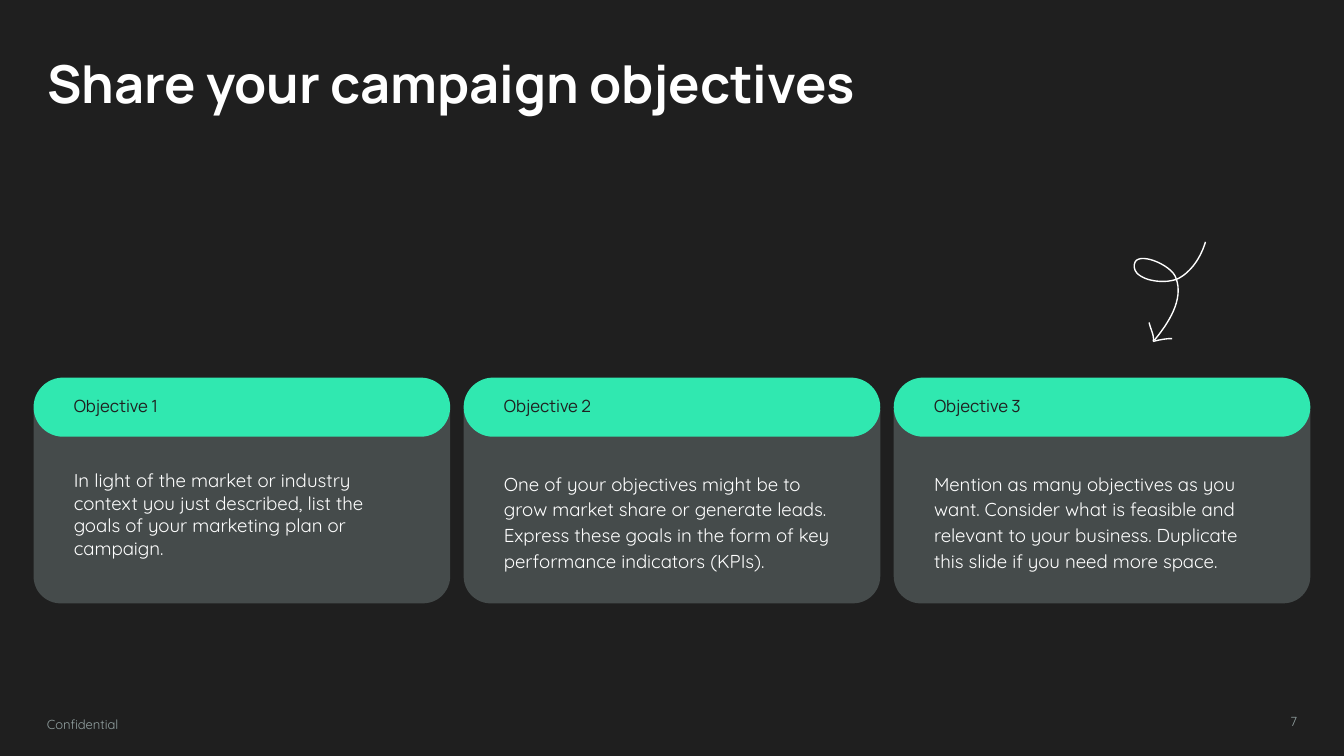
from pptx import Presentation
from pptx.dml.color import RGBColor
from pptx.enum.shapes import MSO_SHAPE as Shape
from pptx.enum.text import MSO_ANCHOR as Anchor, PP_ALIGN as Align
from pptx.util import Pt

COLORS = {
    "background": "1F1F1F",
    "card": "454B4B",
    "header": "30E8B0",
    "light": "FFFFFF",
    "muted": "93A2A2",
}
OBJECTIVES = [
    ("Objective 1", "In light of the market or industry context you just described, "
     "list the goals of your marketing plan or campaign.", 1.0),
    ("Objective 2", "One of your objectives might be to grow market share or generate leads. "
     "Express these goals in the form of key performance indicators (KPIs).", 1.15),
    ("Objective 3", "Mention as many objectives as you want. Consider what is feasible and "
     "relevant to your business. Duplicate this slide if you need more space.", 1.15),
]
ARROW_STROKES = [
    [(38.8, 0), (36.7, 7.2), (32.4, 14.4), (25.9, 18.7),
     (18.7, 23.8), (-0.7, 20.9), (0.7, 12.2),
     (1.4, 4.3), (20.9, 12.2), (23, 19.4),
     (27.4, 31), (18.7, 43.9), (11.5, 52.6)],
    [(8.6, 43.2), (9.4, 46.8), (11.5, 50.4), (10.8, 53.3)],
    [(10.8, 53.3), (13.7, 52.6), (17.3, 51.8), (20.9, 51.8)],
]


def rgb(name):
    """Return the named colour."""
    return RGBColor.from_string(COLORS[name])


def write(holder, text, size, font, color, inset=(7.2, 7.2), spacing=1.0,
          anchor=Anchor.TOP, align=Align.LEFT, bold=False):
    """Write one formatted paragraph into a shape."""
    frame = holder.text_frame
    frame.word_wrap = True
    frame.vertical_anchor = anchor
    frame.margin_left = frame.margin_right = Pt(inset[0])
    frame.margin_top = frame.margin_bottom = Pt(inset[1])
    paragraph = frame.paragraphs[0]
    paragraph.alignment = align
    paragraph.line_spacing = spacing
    run = paragraph.add_run()
    run.text = text
    run.font.size = Pt(size)
    run.font.name = font
    run.font.bold = bold
    run.font.color.rgb = rgb(color)


def add_label(slide, box, *args, **style):
    """Add a text box with one paragraph."""
    write(slide.shapes.add_textbox(*map(Pt, box)), *args, **style)


def add_panel(slide, kind, box, color, adjustments):
    """Add a filled shape without an outline."""
    panel = slide.shapes.add_shape(kind, *map(Pt, box))
    panel.shadow.inherit = False
    panel.fill.solid()
    panel.fill.fore_color.rgb = rgb(color)
    panel.line.fill.background()
    for index, value in enumerate(adjustments):
        panel.adjustments[index] = value


def add_title(slide, box, text):
    """Place and fill the title placeholder."""
    title = slide.shapes.title
    title.left, title.top, title.width, title.height = map(Pt, box)
    write(title, text, 28, "Manrope", "light", bold=True)


def add_card(slide, box, heading, body, spacing):
    """Add an objective card with its pill header."""
    left, top, width, height = box
    pill = (left, top, width, 31.7)
    add_panel(slide, Shape.ROUND_2_SAME_RECTANGLE,
              (left, top + 17.3, width, height - 17.3), "card", (0, 0.14))
    add_panel(slide, Shape.ROUNDED_RECTANGLE, pill, "header", (0.5,))
    add_label(slide, pill, heading, 9, "Manrope", "background",
              inset=(21.6, 0), spacing=0.9, anchor=Anchor.MIDDLE)
    add_label(slide, (left, top + 41.8, width, 56.9), body, 10, "Quicksand", "light",
              inset=(21.6, 7.2), spacing=spacing)


def bezier(start, first, second, end, steps=16):
    """Return points along a cubic curve, without its start."""
    points = []
    for step in range(1, steps + 1):
        t = step / steps
        weights = ((1 - t) ** 3, 3 * t * (1 - t) ** 2, 3 * t ** 2 * (1 - t), t ** 3)
        points.append(tuple(sum(w * p[axis] for w, p in zip(weights, (start, first, second, end)))
                            for axis in (0, 1)))
    return points


def add_loop_arrow(slide, left, top):
    """Draw the hand-drawn arrow as a group of curved strokes."""
    arrow = slide.shapes.add_group_shape()
    for controls in ARROW_STROKES:
        points = controls[:1]
        for index in range(0, len(controls) - 1, 3):
            points = points + bezier(*controls[index:index + 4])
        points = [(Pt(left + x), Pt(top + y)) for x, y in points]
        builder = arrow.shapes.build_freeform(*points[0])
        builder.add_line_segments(points[1:], close=False)
        stroke = builder.convert_to_shape()
        stroke.shadow.inherit = False
        stroke.fill.background()
        stroke.line.color.rgb = rgb("light")
        stroke.line.width = Pt(0.75)


def add_footer(slide, left, top, width):
    """Add the confidentiality note and the page number."""
    add_label(slide, (left, top, 87.8, 24.5), "Confidential", 7, "Quicksand", "muted",
              spacing=1.15)
    add_label(slide, (left + width - 172.8, top, 172.8, 23), "7", 7, "Quicksand", "muted",
              align=Align.RIGHT)


def main():
    """Build and save the slide."""
    deck = Presentation()
    deck.slide_width, deck.slide_height = Pt(720), Pt(405)
    slide = deck.slides.add_slide(deck.slide_layouts[5])
    slide.background.fill.solid()
    slide.background.fill.fore_color.rgb = rgb("background")
    margin, card_width, gap = 18, 223.2, 7.2
    add_title(slide, (margin, 20.2, 449.3, 82), "Share your campaign objectives")
    for index, objective in enumerate(OBJECTIVES):
        left = margin + index * (card_width + gap)
        add_card(slide, (left, 202.3, card_width, 121), *objective)
    add_loop_arrow(slide, 607, 129.6)
    add_footer(slide, margin, 378, 684)
    deck.save("out.pptx")


if __name__ == "__main__":
    main()
